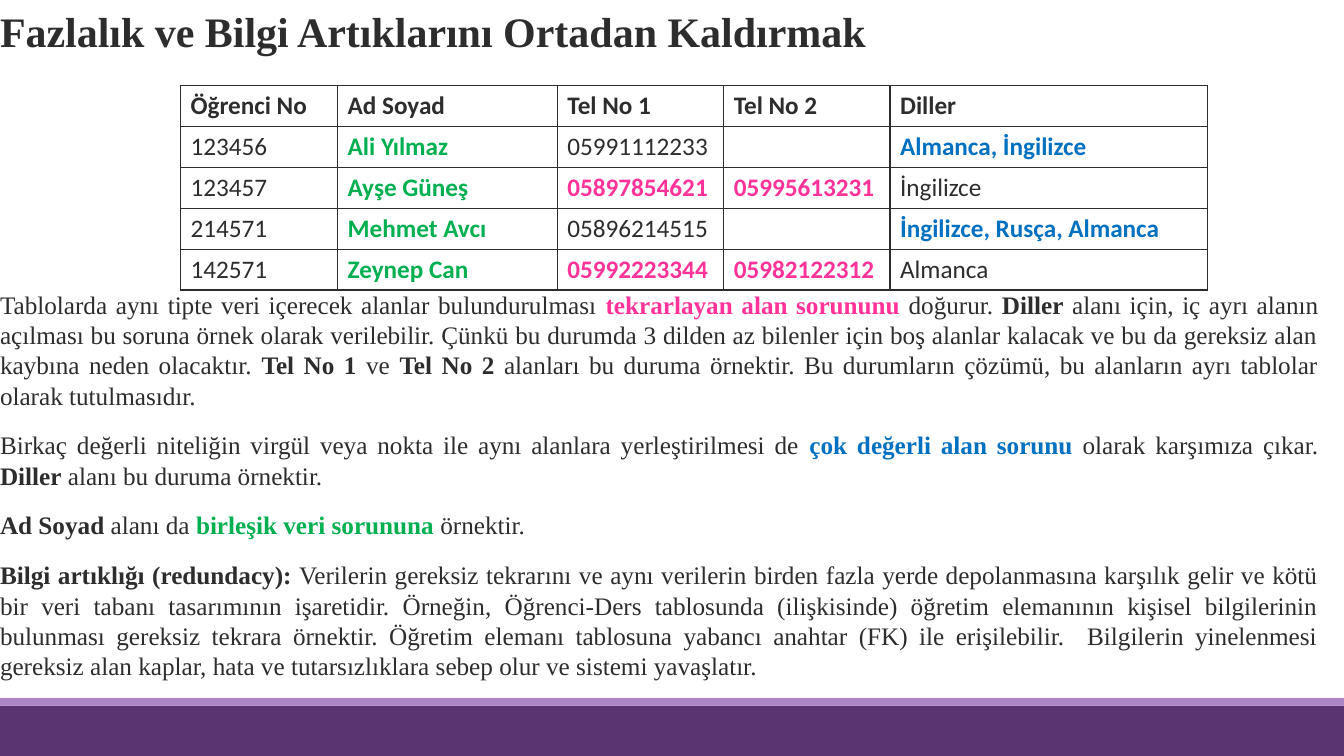
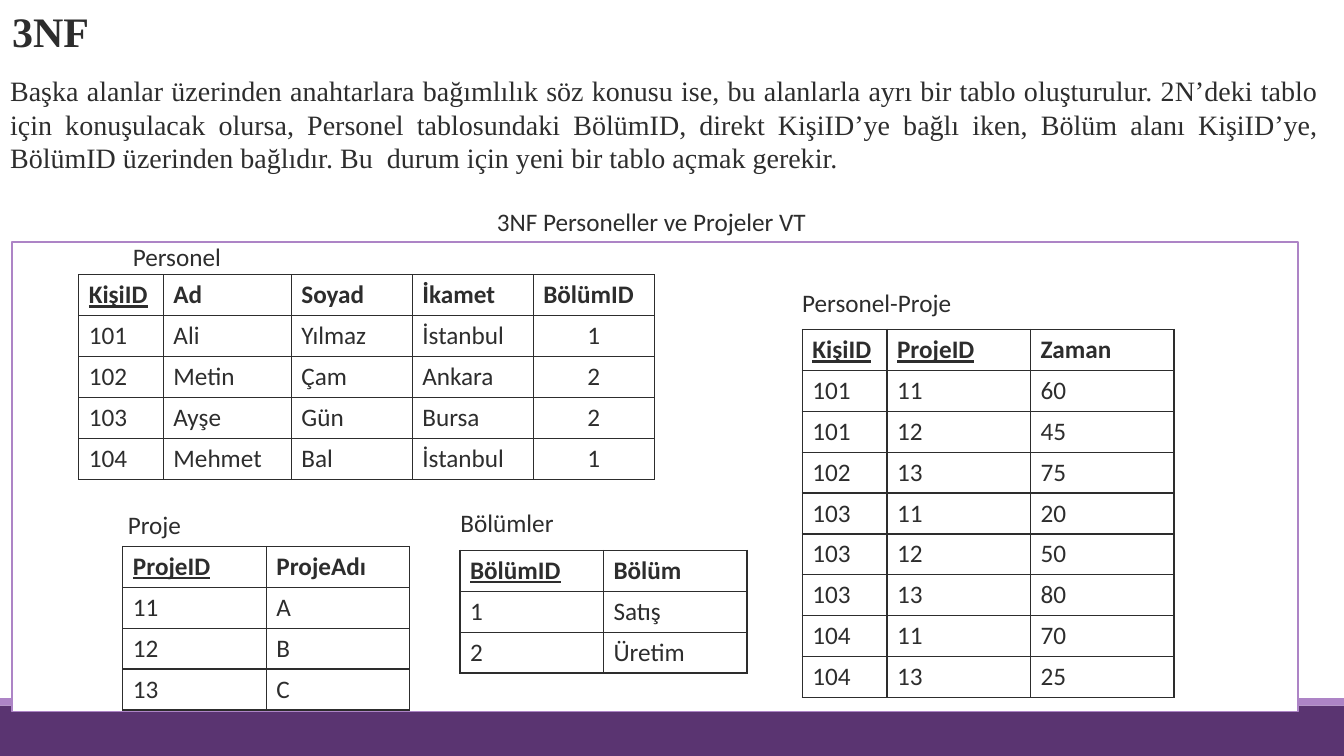
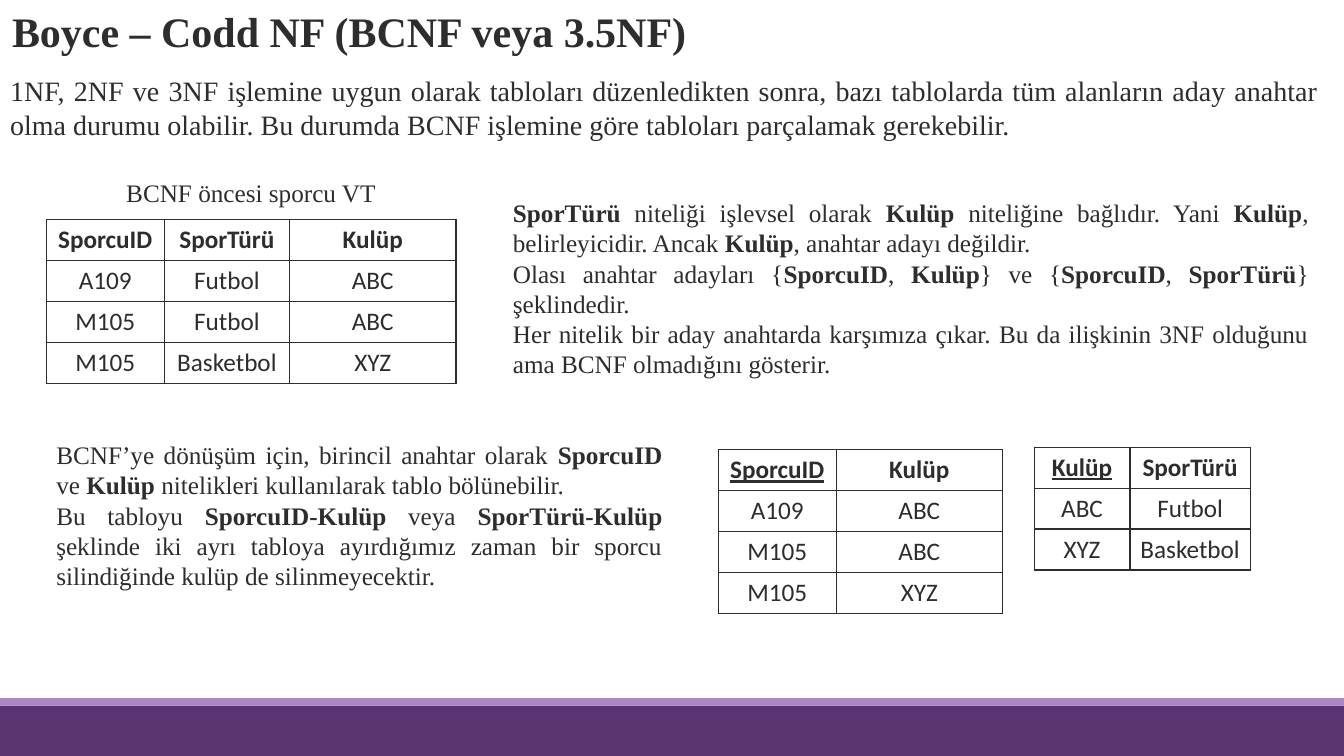
"""Build three slides on database normalisation."""
from dataclasses import dataclass

from lxml import etree
from pptx import Presentation
from pptx import util as u
from pptx.dml.color import RGBColor
from pptx.enum import shapes, text
from pptx.oxml import ns

COLOURS = {
    "ink": "2D2D2D", "white": "FFFFFF", "purple": "5A3471", "lilac": "AD84C6",
    "pink": "FF3399", "blue": "0070C0", "green": "00B050",
}
MARKS = {
    "b": ("ink", {"bold": True}),
    "u": ("ink", {"bold": True, "underline": True}),
    "p": ("pink", {"bold": True}),
    "m": ("blue", {"bold": True}),
    "g": ("green", {"bold": True}),
}
SERIF, SANS = "Times New Roman", "Calibri"
WIDTH, HEIGHT = 960, 540
ROW_HEIGHT = 29.2
LEFT, CENTRE, JUSTIFY = text.PP_ALIGN.LEFT, text.PP_ALIGN.CENTER, text.PP_ALIGN.JUSTIFY


@dataclass(frozen=True)
class TextBlock:
    """Text box; |x:words| in a paragraph applies mark x to the words."""
    left: float
    top: float
    width: float
    height: float
    paragraphs: tuple[str, ...]
    size: float = 18
    font: str = SERIF
    align: text.PP_ALIGN = JUSTIFY
    side_inset: float = 7.2
    space_before: float = 0
    space_after: float = 0
    line_spacing: float = 1.0
    anchor: text.MSO_ANCHOR = text.MSO_ANCHOR.TOP


@dataclass(frozen=True)
class Grid:
    """Bordered table whose first row is bold."""
    left: float
    top: float
    columns: tuple[float, ...]
    rows: tuple[tuple[str, ...], ...]
    centred: tuple[int, ...] = ()
    header_centred: bool = False


def rgb(name: str) -> RGBColor:
    """Return a named colour."""
    return RGBColor.from_string(COLOURS[name])


def write(para, marked: str, size: float, font: str, bold: bool = False) -> None:
    """Fill a paragraph with plain and marked runs."""
    for index, piece in enumerate(marked.split("|")):
        if not piece:
            continue
        colour, extra = "ink", {}
        if index % 2:
            mark, piece = piece.split(":", 1)
            colour, extra = MARKS[mark]
        span = para.add_run()
        span.text = piece
        style = {"name": font, "size": u.Pt(size), "bold": bold, **extra}
        for key, value in style.items():
            setattr(span.font, key, value)
        span.font.color.rgb = rgb(colour)


def draw_text(page, block: TextBlock) -> None:
    """Draw one text block."""
    box = page.shapes.add_textbox(
        *map(u.Pt, (block.left, block.top, block.width, block.height)))
    frame = box.text_frame
    settings = {
        "word_wrap": True, "vertical_anchor": block.anchor,
        "margin_left": u.Pt(block.side_inset), "margin_right": u.Pt(block.side_inset),
        "margin_top": u.Pt(3.6), "margin_bottom": u.Pt(3.6),
    }
    for key, value in settings.items():
        setattr(frame, key, value)
    for index, marked in enumerate(block.paragraphs):
        para = frame.add_paragraph() if index else frame.paragraphs[0]
        spacing = {
            "alignment": block.align, "line_spacing": block.line_spacing,
            "space_before": u.Pt(block.space_before if index else 0),
            "space_after": u.Pt(block.space_after),
        }
        for key, value in spacing.items():
            setattr(para, key, value)
        write(para, marked, block.size, block.font)


def draw_rectangle(page, left: float, top: float, width: float, height: float,
                   fill: str, line: str = "") -> None:
    """Draw a flat rectangle, outlined when a line colour is given."""
    box = page.shapes.add_shape(
        shapes.MSO_SHAPE.RECTANGLE, *map(u.Pt, (left, top, width, height)))
    box.shadow.inherit = False
    box.fill.solid()
    box.fill.fore_color.rgb = rgb(fill)
    if line:
        box.line.color.rgb = rgb(line)
        box.line.width = u.Pt(1.25)
    else:
        box.line.fill.background()


def add_borders(cell) -> None:
    """Outline a cell on all four sides."""
    properties = cell._tc.get_or_add_tcPr()
    for index, side in enumerate(("lnL", "lnR", "lnT", "lnB")):
        line = etree.Element(ns.qn(f"a:{side}"), w=str(u.Pt(1)))
        fill = etree.SubElement(line, ns.qn("a:solidFill"))
        etree.SubElement(fill, ns.qn("a:srgbClr"), val=COLOURS["ink"])
        properties.insert(index, line)


def draw_grid(page, grid: Grid) -> None:
    """Draw one table."""
    size = (sum(grid.columns), ROW_HEIGHT * len(grid.rows))
    table = page.shapes.add_table(
        len(grid.rows), len(grid.columns),
        *map(u.Pt, (grid.left, grid.top, *size))).table
    table.first_row = table.horz_banding = False
    for column, width in zip(table.columns, grid.columns):
        column.width = u.Pt(width)
    for r, values in enumerate(grid.rows):
        table.rows[r].height = u.Pt(ROW_HEIGHT)
        for c, value in enumerate(values):
            cell = table.cell(r, c)
            cell.fill.background()
            add_borders(cell)
            para = cell.text_frame.paragraphs[0]
            centred = c in grid.centred and (r > 0 or grid.header_centred)
            para.alignment = CENTRE if centred else LEFT
            write(para, value, 18, SANS, bold=r == 0)


def add_page(deck, title: str, left: float):
    """Add a blank page with the bottom bands and a title."""
    page = deck.slides.add_slide(deck.slide_layouts[6])
    draw_rectangle(page, 0, 504, WIDTH, 36, "purple")
    draw_rectangle(page, 0, 498.7, WIDTH, 5.3, "lilac")
    draw_text(page, TextBlock(
        left, 0, WIDTH - left, 49, (f"|b:{title}|",), size=30, align=LEFT,
        side_inset=0, line_spacing=0.9, anchor=text.MSO_ANCHOR.MIDDLE))
    return page


def draw_intro(page, words: str, height: float) -> None:
    """Draw the opening paragraph under a title."""
    draw_text(page, TextBlock(7.2, 49, 934.6, height, (words,), size=20, side_inset=0))


def build_redundancy(deck) -> None:
    """Build the page on redundant data."""
    page = add_page(deck, "Fazlalık ve Bilgi Artıklarını Ortadan Kaldırmak", 0)
    draw_text(page, TextBlock(0, 203, 941.8, 290, (
        "Tablolarda aynı tipte veri içerecek alanlar bulundurulması "
        "|p:tekrarlayan alan sorununu| doğurur. |b:Diller| alanı için, iç ayrı alanın "
        "açılması bu soruna örnek olarak verilebilir. Çünkü bu durumda 3 dilden az "
        "bilenler için boş alanlar kalacak ve bu da gereksiz alan kaybına neden "
        "olacaktır. |b:Tel No 1| ve |b:Tel No 2| alanları bu duruma örnektir. Bu "
        "durumların çözümü, bu alanların ayrı tablolar olarak tutulmasıdır.",
        "Birkaç değerli niteliğin virgül veya nokta ile aynı alanlara yerleştirilmesi "
        "de |m:çok değerli alan sorunu| olarak karşımıza çıkar. |b:Diller| alanı bu "
        "duruma örnektir.",
        "|b:Ad Soyad| alanı da |g:birleşik veri sorununa| örnektir.",
        "|b:Bilgi artıklığı (redundacy):| Verilerin gereksiz tekrarını ve aynı "
        "verilerin birden fazla yerde depolanmasına karşılık gelir ve kötü bir veri "
        "tabanı tasarımının işaretidir. Örneğin, Öğrenci-Ders tablosunda (ilişkisinde) "
        "öğretim elemanının kişisel bilgilerinin bulunması gereksiz tekrara örnektir. "
        "Öğretim elemanı tablosuna yabancı anahtar (FK) ile erişilebilir.  Bilgilerin "
        "yinelenmesi gereksiz alan kaplar, hata ve tutarsızlıklara sebep olur ve "
        "sistemi yavaşlatır.",
    ), side_inset=0, space_before=12, space_after=2))
    draw_grid(page, Grid(128.9, 61.2, (112.3, 157, 118.8, 118.8, 226.8), (
        ("Öğrenci No", "Ad Soyad", "Tel No 1", "Tel No 2", "Diller"),
        ("123456", "|g:Ali Yılmaz|", "05991112233", "", "|m:Almanca, İngilizce|"),
        ("123457", "|g:Ayşe Güneş|", "|p:05897854621|", "|p:05995613231|", "İngilizce"),
        ("214571", "|g:Mehmet Avcı|", "05896214515", "", "|m:İngilizce, Rusça, Almanca|"),
        ("142571", "|g:Zeynep Can|", "|p:05992223344|", "|p:05982122312|", "Almanca"),
    )))


def build_third_form(deck) -> None:
    """Build the page on the third normal form."""
    page = add_page(deck, "3NF", 8.6)
    draw_intro(page, (
        "Başka alanlar üzerinden anahtarlara bağımlılık söz konusu ise, bu alanlarla "
        "ayrı bir tablo oluşturulur. 2N’deki tablo için konuşulacak olursa, Personel "
        "tablosundaki BölümID, direkt KişiID’ye bağlı iken, Bölüm alanı KişiID’ye, "
        "BölümID üzerinden bağlıdır. Bu  durum için yeni bir tablo açmak gerekir."), 82)
    draw_rectangle(page, 8.6, 172.8, 918.7, 335.5, "white", "lilac")
    for left, top, width, name in (
        (347.8, 144, 489, "3NF Personeller ve Projeler VT"),
        (87.8, 168.5, 489, "Personel"),
        (84.2, 360, 489, "Proje"),
        (321.8, 358.6, 489, "Bölümler"),
        (565.9, 201.6, 394, "Personel-Proje"),
    ):
        draw_text(page, TextBlock(left, top, width, 29, (name,), font=SANS, align=LEFT))
    for grid in (
        Grid(573.1, 235.4, (60.5, 102.5, 102.5), (
            ("|u:KişiID|", "|u:ProjeID|", "Zaman"),
            ("101", "11", "60"), ("101", "12", "45"), ("102", "13", "75"),
            ("103", "11", "20"), ("103", "12", "50"), ("103", "13", "80"),
            ("104", "11", "70"), ("104", "13", "25"))),
        Grid(56.2, 196.3, (60.5, 91.4, 86.4, 86.4, 86.4), (
            ("|u:KişiID|", "Ad", "Soyad", "İkamet", "BölümID"),
            ("101", "Ali", "Yılmaz", "İstanbul", "1"),
            ("102", "Metin", "Çam", "Ankara", "2"),
            ("103", "Ayşe", "Gün", "Bursa", "2"),
            ("104", "Mehmet", "Bal", "İstanbul", "1")), centred=(4,)),
        Grid(87.8, 390.3, (102.5, 102.5), (
            ("|u:ProjeID|", "ProjeAdı"), ("11", "A"), ("12", "B"), ("13", "C"))),
        Grid(328.6, 393.1, (102.5, 102.5), (
            ("|u:BölümID|", "Bölüm"), ("1", "Satış"), ("2", "Üretim"))),
    ):
        draw_grid(page, grid)


def build_boyce_codd(deck) -> None:
    """Build the page on the Boyce-Codd normal form."""
    page = add_page(deck, "Boyce – Codd NF (BCNF veya 3.5NF)", 8.6)
    draw_intro(page, (
        "1NF, 2NF ve 3NF işlemine uygun olarak tabloları düzenledikten sonra, bazı "
        "tablolarda tüm alanların aday anahtar olma durumu olabilir. Bu durumda BCNF "
        "işlemine göre tabloları parçalamak gerekebilir."), 58)
    for block in (
        TextBlock(33.1, 123.1, 292.3, 29, ("BCNF öncesi sporcu VT",), align=CENTRE),
        TextBlock(359.3, 137.5, 582.5, 138, (
            "|b:SporTürü| niteliği işlevsel olarak |b:Kulüp| niteliğine bağlıdır. Yani "
            "|b:Kulüp|, belirleyicidir. Ancak |b:Kulüp|, anahtar adayı değildir.",
            "Olası anahtar adayları {|b:SporcuID|, |b:Kulüp|} ve {|b:SporcuID|, "
            "|b:SporTürü|} şeklindedir.",
            "Her nitelik bir aday anahtarda karşımıza çıkar. Bu da ilişkinin 3NF "
            "olduğunu ama BCNF olmadığını gösterir.")),
        TextBlock(33.1, 310.3, 447.1, 117, (
            "BCNF’ye dönüşüm için, birincil anahtar olarak |b:SporcuID| ve |b:Kulüp| "
            "nitelikleri kullanılarak tablo bölünebilir.",
            "Bu tabloyu |b:SporcuID-Kulüp| veya |b:SporTürü-Kulüp| şeklinde iki ayrı "
            "tabloya ayırdığımız zaman bir sporcu silindiğinde kulüp de "
            "silinmeyecektir.")),
    ):
        draw_text(page, block)
    for left, top, columns, rows in (
        (33.1, 157, (84.2, 89.6, 118.8), (
            ("SporcuID", "SporTürü", "Kulüp"), ("A109", "Futbol", "ABC"),
            ("M105", "Futbol", "ABC"), ("M105", "Basketbol", "XYZ"))),
        (513.1, 321.3, (84.2, 118.8), (
            ("|u:SporcuID|", "Kulüp"), ("A109", "ABC"), ("M105", "ABC"),
            ("M105", "XYZ"))),
        (738.7, 319.5, (68.4, 86), (
            ("|u:Kulüp|", "SporTürü"), ("ABC", "Futbol"), ("XYZ", "Basketbol"))),
    ):
        draw_grid(page, Grid(left, top, columns, rows,
                             centred=tuple(range(len(columns))), header_centred=True))


def main() -> None:
    """Build and save the deck."""
    deck = Presentation()
    deck.slide_width, deck.slide_height = u.Pt(WIDTH), u.Pt(HEIGHT)
    for build in (build_redundancy, build_third_form, build_boyce_codd):
        build(deck)
    deck.save("out.pptx")


if __name__ == "__main__":
    main()
